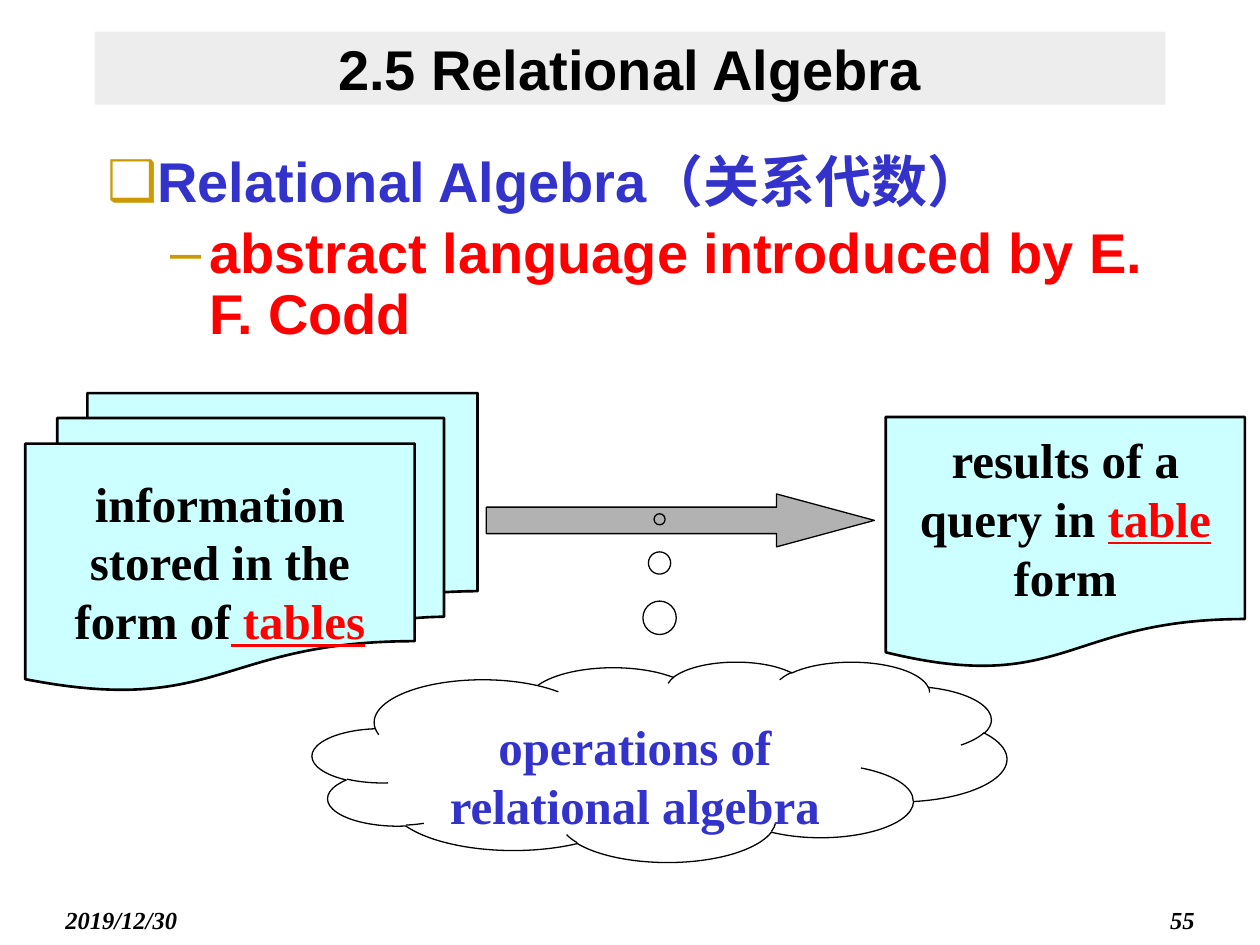
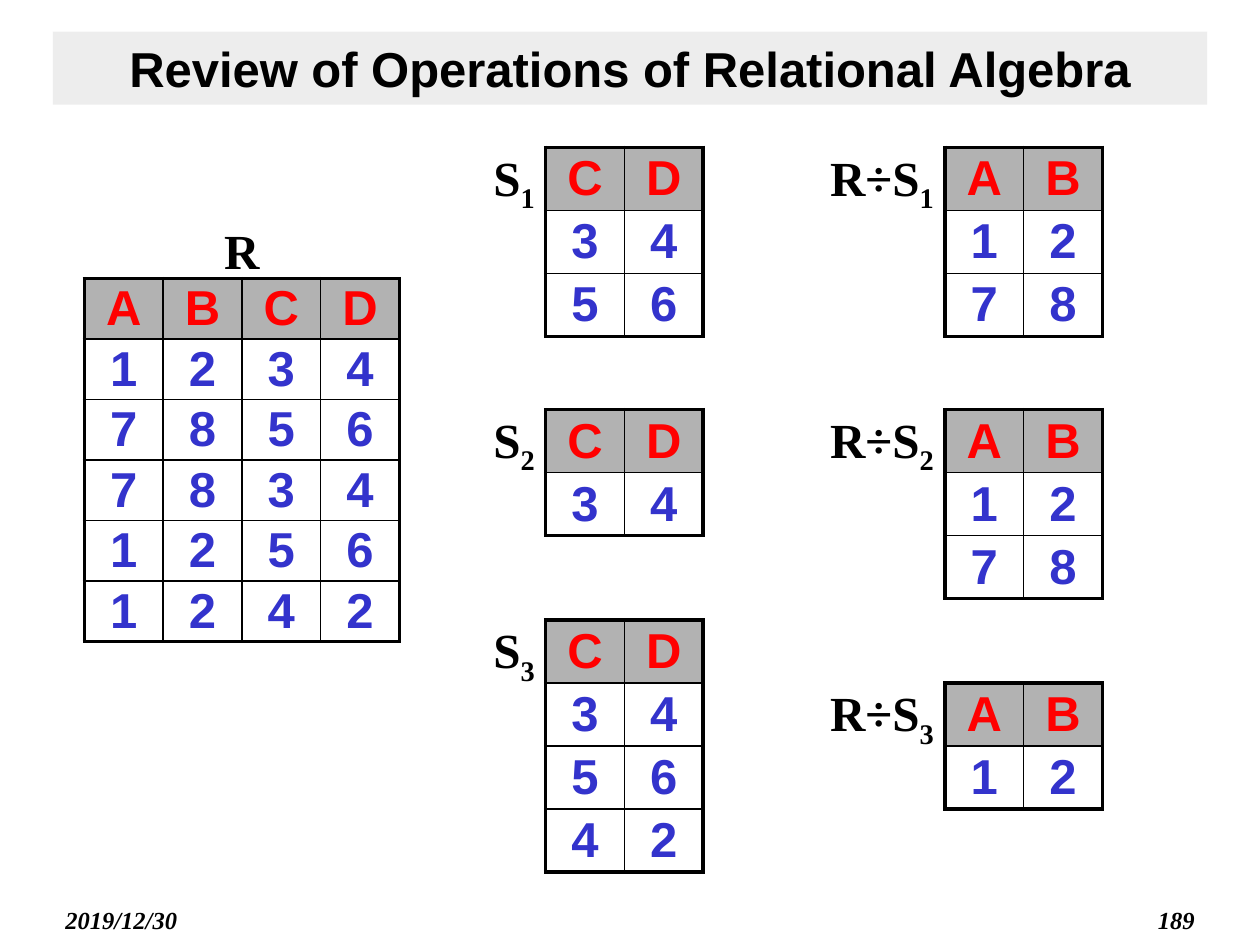
from lxml import etree
from pptx import Presentation
from pptx.dml.color import RGBColor
from pptx.enum.shapes import MSO_SHAPE
from pptx.enum.text import MSO_ANCHOR, MSO_AUTO_SIZE, PP_ALIGN
from pptx.oxml.ns import qn
from pptx.util import Inches, Pt

LEFT, CENTER, RIGHT = PP_ALIGN.LEFT, PP_ALIGN.CENTER, PP_ALIGN.RIGHT
TOP, MIDDLE = MSO_ANCHOR.TOP, MSO_ANCHOR.MIDDLE
MULTI_DOCUMENT = MSO_SHAPE.FLOWCHART_MULTIDOCUMENT
DOCUMENT = MSO_SHAPE.FLOWCHART_DOCUMENT
RIGHT_ARROW = MSO_SHAPE.RIGHT_ARROW
CLOUD = MSO_SHAPE.CLOUD_CALLOUT
NO_AUTOFIT = MSO_AUTO_SIZE.NONE

SANS, SERIF = "Arial", "Times New Roman"
BLACK, BLUE, RED = "000000", "3333CC", "FF0000"
BAND, GRAY, AQUA, GOLD = "DDDDDD", "B2B2B2", "CCFFFF", "CC9900"
TITLE_ONLY, TITLE_AND_BODY = 5, 1
KEYWORD = {"color": RED, "underline": True}
SUBSCRIPT = {"subscript": True}


def rgb(color):
    return RGBColor.from_string(color)


def add_child(parent, tag, **attributes):
    return etree.SubElement(parent, qn(tag), attributes)


def place(shape, left, top, width, height):
    shape.left, shape.top = Inches(left), Inches(top)
    shape.width, shape.height = Inches(width), Inches(height)


def set_margins(frame, margin):
    frame.margin_left = frame.margin_right = Inches(margin)
    frame.margin_top = frame.margin_bottom = Inches(margin)


def write(para, spans, size=28, font=SERIF, color=BLACK, align=CENTER, italic=False):
    """Fill a paragraph from a string or from (text, overrides) spans."""
    para.alignment = align
    para.font.name, para.font.size = font, Pt(size)
    para.font.bold, para.font.italic = True, italic
    para.font.color.rgb = rgb(color)
    if isinstance(spans, str):
        spans = [(spans, {})]
    for text, style in spans:
        span = para.add_run()
        span.text = text
        if "color" in style:
            span.font.color.rgb = rgb(style["color"])
        if "underline" in style:
            span.font.underline = True
        if "subscript" in style:
            span.font._element.set("baseline", "-25000")


def set_bullet(para, mark, margin, hanging):
    properties = para._p.get_or_add_pPr()
    properties.set("marL", str(Inches(margin)))
    properties.set("indent", str(-Inches(hanging)))
    add_child(add_child(properties, "a:buClr"), "a:srgbClr", val=GOLD)
    add_child(properties, "a:buChar", char=mark)


def set_border(cell, side, width):
    line = add_child(cell._tc.get_or_add_tcPr(), f"a:ln{side}", w=str(Pt(width)))
    add_child(add_child(line, "a:solidFill"), "a:srgbClr", val=BLACK)


class Deck:
    def __init__(self):
        self.file = Presentation()
        self.file.slide_width, self.file.slide_height = Inches(10), Inches(7.5)
        self.slide = None

    def add_slide(self, layout, title, number, left, size):
        """Start a slide with its centred title band and its footer."""
        self.slide = self.file.slides.add_slide(self.file.slide_layouts[layout])
        self.add_text("2019/12/30", 0.42, 7.08, 2.08, 0.33, 0.1,
                      size=14, align=LEFT, italic=True)
        self.add_text(number, 7.5, 7.08, 2.08, 0.33, 0.1,
                      size=14, align=RIGHT, italic=True)
        band = self.slide.shapes.title
        place(band, left, 0.25, 10 - 2 * left, 0.58)
        band.fill.solid()
        band.fill.fore_color.rgb = rgb(BAND)
        add_child(band.fill._xPr.find(f".//{qn('a:srgbClr')}"), "a:alpha", val="50000")
        band.text_frame.auto_size = NO_AUTOFIT
        band.text_frame.vertical_anchor = MIDDLE
        write(band.text_frame.paragraphs[0], title, size, SANS)

    def add_text(self, spans, left, top, width, height, margin=0, **style):
        box = self.slide.shapes.add_textbox(0, 0, 0, 0)
        place(box, left, top, width, height)
        box.text_frame.word_wrap = True
        set_margins(box.text_frame, margin)
        write(box.text_frame.paragraphs[0], spans, **style)

    def add_list(self, items, left, top, width, height):
        body = self.slide.placeholders[1]
        place(body, left, top, width, height)
        frame = body.text_frame
        frame.auto_size, frame.vertical_anchor = NO_AUTOFIT, TOP
        for index, (text, color, mark, margin, hanging) in enumerate(items):
            para = frame.add_paragraph() if index else frame.paragraphs[0]
            para.level = index
            para.line_spacing = 0.9
            para.space_before = Pt(6.4 if index else 0)
            set_bullet(para, mark, margin, hanging)
            write(para, text, 32, SANS, color, LEFT)

    def add_figure(self, kind, left, top, width, height, fill=None, line=0.75,
                   adjustments=()):
        figure = self.slide.shapes.add_shape(kind, 0, 0, 0, 0)
        place(figure, left, top, width, height)
        figure.shadow.inherit = False
        if fill:
            figure.fill.solid()
            figure.fill.fore_color.rgb = rgb(fill)
        else:
            figure.fill.background()
        figure.line.color.rgb = rgb(BLACK)
        figure.line.width = Pt(line)
        for index, value in enumerate(adjustments):
            figure.adjustments[index] = value
        return figure

    def add_document(self, kind, spans, *position):
        document = self.add_figure(kind, *position, fill=AQUA, line=1.5)
        document.text_frame.vertical_anchor = MIDDLE
        write(document.text_frame.paragraphs[0], spans)

    def add_relation(self, rows, left, top, row_height=0.5, column_width=0.625):
        """Draw a relation given as strings, one letter or digit per cell."""
        last_row, last_column = len(rows) - 1, len(rows[0]) - 1
        table = self.slide.shapes.add_table(
            len(rows), len(rows[0]), Inches(left), Inches(top),
            Inches(column_width * len(rows[0])), Inches(row_height * len(rows))).table
        table.first_row = table.horz_banding = False
        for row in table.rows:
            row.height = Inches(row_height)
        for column in table.columns:
            column.width = Inches(column_width)
        for r, values in enumerate(rows):
            for c, value in enumerate(values):
                cell = table.cell(r, c)
                set_margins(cell, 0)
                cell.vertical_anchor = MIDDLE
                outer_sides = {"L": c == 0, "R": c == last_column,
                               "T": r == 0, "B": r == last_row}
                for side, outer in outer_sides.items():
                    set_border(cell, side, 2.25 if outer else 1)
                if r == 0:
                    cell.fill.solid()
                    cell.fill.fore_color.rgb = rgb(GRAY)
                else:
                    cell.fill.background()
                write(cell.text_frame.paragraphs[0], value, font=SANS,
                      color=BLUE if r else RED)


def add_algebra_slide(deck):
    deck.add_slide(TITLE_AND_BODY, "2.5 Relational Algebra", "55", 0.75, 32)
    deck.add_list([
        ("Relational Algebra（关系代数）", BLUE, "❑", 0.38, 0.38),
        ("abstract language introduced by E. F. Codd", RED, "–", 0.81, 0.31),
    ], 0.75, 1.17, 8.5, 1.58)
    deck.add_document(MULTI_DOCUMENT,
                      [("information stored in the form of", {}), (" tables", KEYWORD)],
                      0.2, 3.12, 3.59, 2.36)
    deck.add_document(DOCUMENT,
                      [("results of a query in ", {}), ("table", KEYWORD), (" form", {})],
                      7.03, 3.31, 2.85, 2)
    deck.add_figure(RIGHT_ARROW, 3.86, 3.92, 3.08, 0.42, fill=GRAY,
                    adjustments=(0.5, 1.85))
    cloud = deck.add_figure(CLOUD, 2.48, 5.25, 5.51, 1.59, adjustments=(0, -1.21))
    cloud.text_frame.vertical_anchor = TOP
    cloud.text_frame.margin_top = Inches(0.2)
    write(cloud.text_frame.paragraphs[0], "operations of relational algebra", color=BLUE)


def add_division_slide(deck):
    deck.add_slide(TITLE_ONLY, "Review of Operations of Relational Algebra", "189",
                   0.42, 28)
    deck.add_relation(["ABCD", "1234", "7856", "7834", "1256", "1242"], 0.67, 2.21, 0.48)
    deck.add_text("R", 0.67, 1.75, 2.5, 0.47)

    divisors = [(1.17, ["CD", "34", "56"]), (3.25, ["CD", "34"]),
                (4.92, ["CD", "34", "56", "42"])]
    quotients = [(1.17, ["AB", "12", "78"]), (3.25, ["AB", "12", "78"]),
                 (5.42, ["AB", "12"])]
    for name, left, label_width, relations in (("S", 4.33, 0.5, divisors),
                                               ("R÷S", 7.5, 1, quotients)):
        for number, (top, rows) in enumerate(relations, 1):
            deck.add_relation(rows, left, top)
            deck.add_text([(name, {}), (str(number), SUBSCRIPT)],
                          left - label_width, top, label_width, 0.55)


def main():
    deck = Deck()
    add_algebra_slide(deck)
    add_division_slide(deck)
    deck.file.save("out.pptx")


if __name__ == "__main__":
    main()
